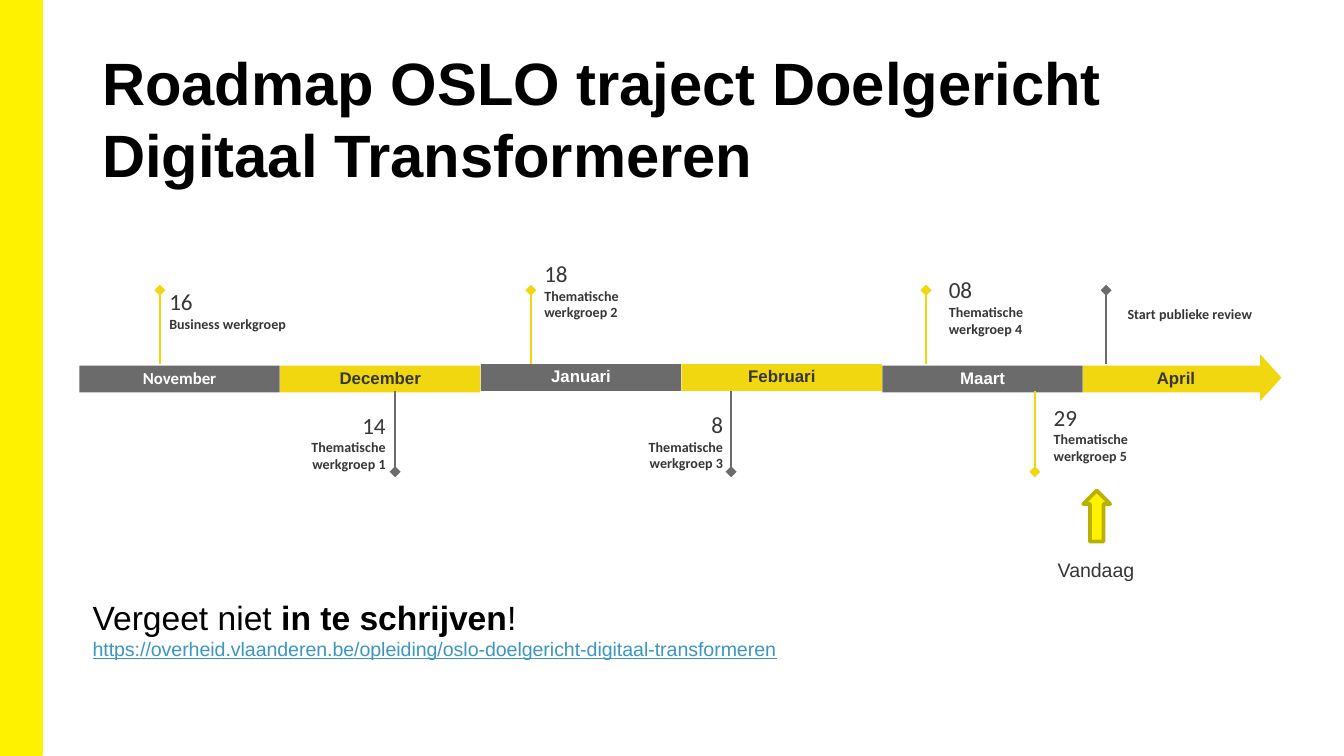
import dataclasses

import lxml.etree
import pptx
import pptx.dml.color
import pptx.enum.shapes
import pptx.enum.text
import pptx.oxml.ns
import pptx.util

Inches = pptx.util.Inches
Shapes = pptx.enum.shapes.MSO_SHAPE
Align = pptx.enum.text.PP_ALIGN
Anchor = pptx.enum.text.MSO_ANCHOR


@dataclasses.dataclass(frozen=True)
class Theme:
    bright: str = "FFF200"
    bright_edge: str = "BAB000"
    yellow: str = "F0D70F"
    gray: str = "6B6B6B"
    ink: str = "373636"
    black: str = "000000"
    white: str = "FFFFFF"
    link: str = "3C96BE"
    sans: str = "Arial"
    label: str = "Calibri"
    title_size: float = 32
    reminder_size: float = 18
    day_size: float = 12.4
    small_size: float = 10.5
    month_size: float = 9
    event_size: float = 7.5


class RoadmapSlide:
    """Draws the elements of a roadmap on one slide in a shared style."""

    def __init__(self, slide, theme):
        self.slide = slide
        self.theme = theme

    def color(self, value):
        return pptx.dml.color.RGBColor.from_string(value)

    def style(self, run, size, font, color, bold=False, underline=False):
        run.font.size = pptx.util.Pt(size)
        run.font.name = font
        run.font.color.rgb = self.color(color)
        run.font.bold = bold
        run.font.underline = underline

    def shape(self, kind, box, fill, edge=None, width=1):
        shape = self.slide.shapes.add_shape(kind, *map(Inches, box))
        shape.shadow.inherit = False
        shape.fill.solid()
        shape.fill.fore_color.rgb = self.color(fill)
        if edge:
            shape.line.color.rgb = self.color(edge)
            shape.line.width = pptx.util.Pt(width)
        else:
            shape.line.fill.background()
        return shape

    def margins(self, text_frame, left=0, top=0, right=0, bottom=0):
        text_frame.word_wrap = True
        text_frame.margin_left, text_frame.margin_top = Inches(left), Inches(top)
        text_frame.margin_right, text_frame.margin_bottom = Inches(right), Inches(bottom)

    def month(self, name, box, fill, color, font):
        text_frame = self.shape(Shapes.RECTANGLE, box, fill).text_frame
        self.margins(text_frame, 0.04, 0.04, 0.04, 0.06)
        text_frame.vertical_anchor = Anchor.MIDDLE
        text_frame.text = name
        paragraph = text_frame.paragraphs[0]
        paragraph.alignment = Align.CENTER
        self.style(paragraph.runs[0], self.theme.month_size, font, color, True)

    def text(self, box, paragraphs, align=Align.LEFT, anchor=Anchor.TOP, margins=()):
        text_frame = self.slide.shapes.add_textbox(*map(Inches, box)).text_frame
        self.margins(text_frame, *margins)
        text_frame.vertical_anchor = anchor
        for index, runs in enumerate(paragraphs):
            paragraph = text_frame.add_paragraph() if index else text_frame.paragraphs[0]
            paragraph.alignment = align
            for content, *style in runs:
                run = paragraph.add_run()
                run.text = content
                self.style(run, *style)

    def event(self, box, day, name, align=Align.LEFT, anchor=Anchor.TOP):
        theme = self.theme
        paragraphs = [[(name, theme.event_size, theme.label, theme.ink, True)]]
        if day:
            paragraphs.insert(0, [(day, theme.day_size, theme.label, theme.ink)])
        self.text(box, paragraphs, align, anchor)

    def marker(self, left, above, color):
        top, bottom, end = (2.16, 2.71, "headEnd") if above else (2.91, 3.51, "tailEnd")
        connector = self.slide.shapes.add_connector(
            pptx.enum.shapes.MSO_CONNECTOR.STRAIGHT,
            Inches(left), Inches(top), Inches(left), Inches(bottom))
        connector.line.color.rgb = self.color(color)
        connector.line.width = pptx.util.Pt(1)
        qualified = pptx.oxml.ns.qn
        properties = connector._element.spPr
        line = properties.find(qualified("a:ln"))
        lxml.etree.SubElement(line, qualified("a:" + end), type="diamond")
        lxml.etree.SubElement(properties, qualified("a:effectLst"))


def main():
    theme = Theme()
    presentation = pptx.Presentation()
    presentation.slide_width = Inches(10)
    presentation.slide_height = Inches(10 * 9 / 16)
    slide = presentation.slides.add_slide(presentation.slide_layouts[6])
    roadmap = RoadmapSlide(slide, theme)

    roadmap.shape(Shapes.RECTANGLE, (0, 0, 0.31, 5.62), theme.bright, theme.bright)
    title = "Roadmap OSLO traject Doelgericht Digitaal Transformeren"
    roadmap.text((0.69, 0.3, 8.62, 0.81),
                 [[(title, theme.title_size, theme.sans, theme.black, True)]],
                 margins=(0.07, 0.04, 0.07, 0.04))

    arrow_tip = roadmap.shape(Shapes.ISOSCELES_TRIANGLE, (9.28, 2.73, 0.35, 0.16), theme.yellow)
    arrow_tip.rotation = 90
    months = ["November", "December", "Januari", "Februari", "Maart", "April"]
    first_left, last_left = 0.59, 8.06
    step = (last_left - first_left) / (len(months) - 1)
    for index, name in enumerate(months):
        fill, color = (theme.yellow, theme.ink) if index % 2 else (theme.gray, theme.white)
        width = 1.38 if name == "April" else 1.49
        top = 2.71 if name in ("Januari", "Februari") else 2.72
        font = theme.label if name == "November" else theme.sans
        roadmap.month(name, (first_left + index * step, top, width, 0.2), fill, color, font)

    for left, above, color in [
        (1.19, True, theme.yellow),
        (2.94, False, theme.gray),
        (3.95, True, theme.yellow),
        (5.44, False, theme.gray),
        (6.89, True, theme.yellow),
        (7.7, False, theme.yellow),
        (8.23, True, theme.gray),
    ]:
        roadmap.marker(left, above, color)

    roadmap.event((1.26, 1.95, 1, 0.52), "16", "Business werkgroep", anchor=Anchor.BOTTOM)
    roadmap.event((1.87, 3.06, 1, 0.66), "14", "Thematische werkgroep 1", Align.RIGHT)
    roadmap.event((4.05, 1.93, 1, 0.66), "18", "Thematische werkgroep 2")
    roadmap.event((4.43, 3.14, 0.95, 0.37), "8", "Thematische werkgroep 3", Align.RIGHT, Anchor.BOTTOM)
    roadmap.event((7.06, 2.05, 1, 0.42), "08", "Thematische werkgroep 4")
    roadmap.event((7.84, 3, 1, 0.42), "29", "Thematische werkgroep 5")
    roadmap.event((8.39, 2.05, 1, 0.35), None, "Start publieke review", anchor=Anchor.BOTTOM)

    today_arrow = roadmap.shape(
        Shapes.DOWN_ARROW, (8.06, 3.65, 0.2, 0.38), theme.bright, theme.bright_edge, 2)
    today_arrow.rotation = 180
    roadmap.text((7.55, 4.15, 1.21, 0.26),
                 [[("Vandaag", theme.small_size, theme.sans, theme.ink)]], Align.CENTER)

    reminder = (theme.reminder_size, theme.sans, theme.black)
    address = "https://overheid.vlaanderen.be/opleiding/oslo-doelgericht-digitaal-transformeren"
    roadmap.text((0.59, 4.34, 5.48, 0.68), [
        [("Vergeet niet ", *reminder), ("in te schrijven", *reminder, True), ("!", *reminder)],
        [(address, theme.small_size, theme.sans, theme.link, False, True)],
    ], margins=(0.1, 0.1, 0.1, 0.1))

    presentation.save("out.pptx")


if __name__ == "__main__":
    main()
